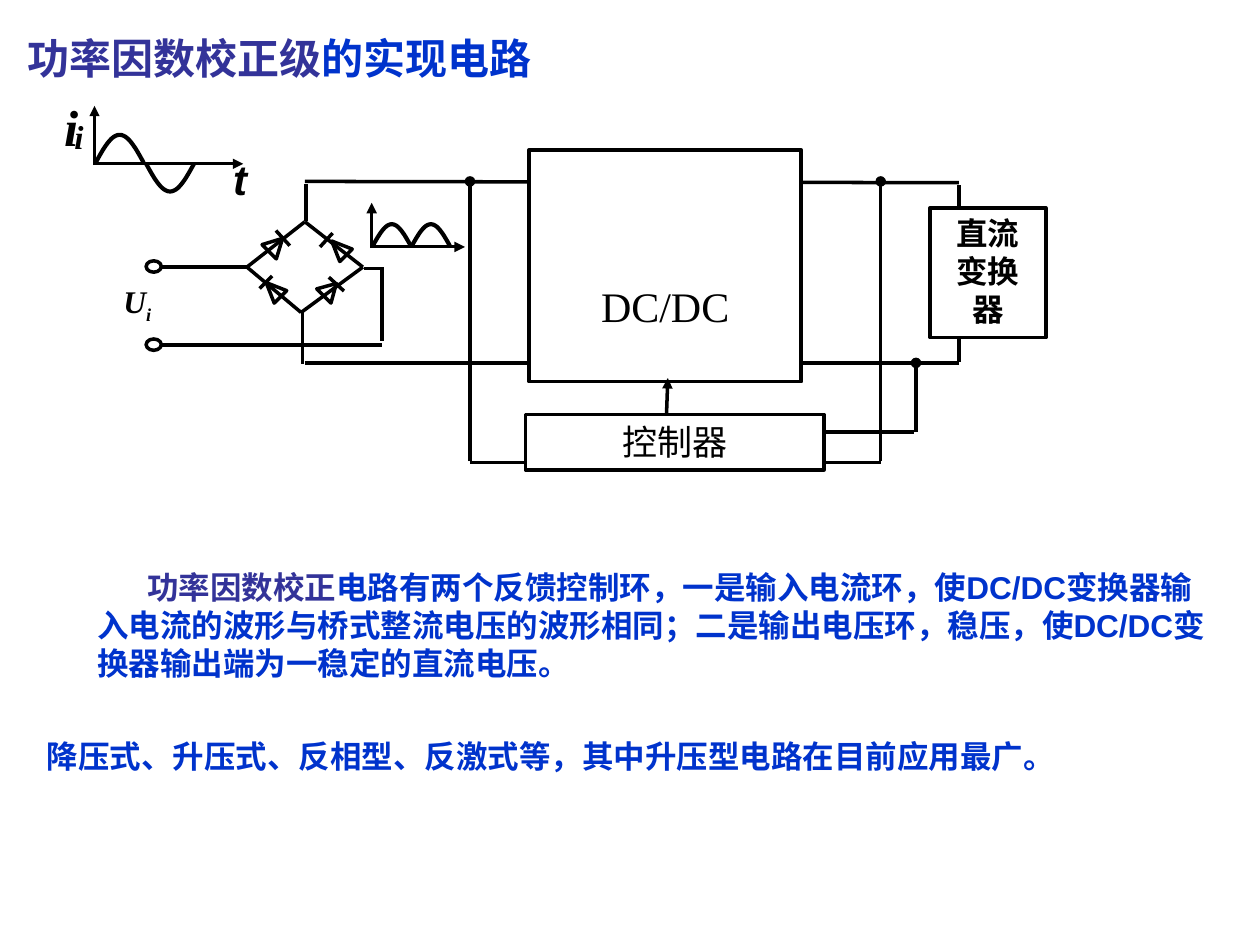
"""Build a slide on the circuit of a power factor correction stage."""
import math

import pptx
import pptx.dml.color
import pptx.enum.shapes
import pptx.enum.text
import pptx.util
import lxml.etree

Inches = pptx.util.Inches
Pt = pptx.util.Pt
kinds = pptx.enum.shapes.MSO_SHAPE
align = pptx.enum.text.PP_ALIGN
rgb = pptx.dml.color.RGBColor.from_string
space = "{http://schemas.openxmlformats.org/drawingml/2006/main}"
black, white, blue, navy = "000000", "FFFFFF", "0033CC", "333399"

deck = pptx.Presentation()
deck.slide_width, deck.slide_height = Inches(10), Inches(7.5)
slide = deck.slides.add_slide(deck.slide_layouts[3])
shapes = slide.shapes


def wire(start, end, width=2, tip=None):
    """Draw a black line, with an end mark if tip is given."""
    link = shapes.add_connector(
        pptx.enum.shapes.MSO_CONNECTOR.STRAIGHT,
        *[Inches(n) for n in (*start, *end)])
    link.line.width = Pt(width)
    link.line.fill.solid()
    link.line.fill.fore_color.rgb = rgb(black)
    if tip:
        mark = lxml.etree.SubElement(link.line._ln, space + "tailEnd")
        mark.set("type", tip)
    lxml.etree.SubElement(link._element.spPr, space + "effectLst")


def block(kind, spot, turn=0):
    """Add a white shape with a black outline."""
    shape = shapes.add_shape(kind, *[Inches(n) for n in spot])
    shape.shadow.inherit = False
    shape.rotation = turn
    shape.fill.solid()
    shape.fill.fore_color.rgb = rgb(white)
    shape.line.color.rgb = rgb(black)
    shape.line.width = Pt(2)
    return shape


texts = [
    (shapes.title, (0.12, 0.21, 5.59, 0.5), 24, 0,
     [("功率因数校正级", navy), ("的实现电路", blue)]),
    (slide.placeholders[1], (0.67, 4.46, 9.06, 1), 18, 0.4,
     [("功率因数校正", navy),
      ("电路有两个反馈控制环，一是输入电流环，使DC/DC变换器输入电流的波形与"
       "桥式整流电压的波形相同；二是输出电压环，稳压，使DC/DC变换器输出端为"
       "一稳定的直流电压。", blue)]),
    (slide.placeholders[2], (0.27, 5.8, 9.33, 0.4), 18, 0,
     [("降压式、升压式、反相型、反激式等，其中升压型电路在目前应用最广。", blue)]),
]
for holder, spot, size, indent, parts in texts:
    holder.left, holder.top, holder.width, holder.height = [
        Inches(n) for n in spot]
    frame = holder.text_frame
    frame.word_wrap = True
    frame.auto_size = pptx.enum.text.MSO_AUTO_SIZE.NONE
    frame.vertical_anchor = pptx.enum.text.MSO_ANCHOR.TOP
    para = frame.paragraphs[0]
    para.alignment = align.LEFT
    para.space_before = Pt(0)
    props = para._p.get_or_add_pPr()
    props.set("marL", "0")
    props.set("indent", str(Inches(indent)))
    lxml.etree.SubElement(props, space + "buNone")
    para.font.name, para.font.size, para.font.bold = "Arial", Pt(size), True
    for words, shade in parts:
        run = para.add_run()
        run.text = words
        run.font.color.rgb = rgb(shade)

wires = [
    ((1.2, 2.12), (1.96, 2.12)), ((2.89, 2.13), (3.04, 2.13)),
    ((3.03, 2.12), (3.03, 2.71)), ((3.03, 2.74), (1.21, 2.74)),
    ((2.43, 1.46), (2.43, 1.75)), ((2.4, 2.47), (2.4, 2.89)),
    ((2.42, 1.44), (7.61, 1.45)), ((2.42, 2.88), (7.61, 2.88)),
    ((7.61, 1.47), (7.61, 2.87)), ((3.73, 3.67), (6.99, 3.67)),
    ((6.5, 3.43), (7.25, 3.43)),
]
for start, end in wires:
    wire(start, end)
for start, end in [((7.27, 3.43), (7.27, 2.88)),
                   ((3.73, 3.66), (3.73, 1.44)),
                   ((6.99, 3.66), (6.99, 1.44))]:
    wire(start, end, tip="oval")

boxes = [
    ("DC/DC", (4.2, 1.19, 2.16, 1.84), 24, False, 1.04),
    ("控制器", (4.17, 3.29, 2.37, 0.44), 20, False, 0.05),
    ("直流变换器", (7.38, 1.65, 0.92, 1.03), 18, True, 0.05),
]
for words, spot, size, bold, inset in boxes:
    frame = block(kinds.RECTANGLE, spot).text_frame
    frame.word_wrap = True
    frame.vertical_anchor = pptx.enum.text.MSO_ANCHOR.TOP
    frame.margin_top = Inches(inset)
    para = frame.paragraphs[0]
    para.text = words
    para.alignment = align.CENTER
    para.font.name, para.font.size = "Times New Roman", Pt(size)
    para.font.bold = bold
    para.font.color.rgb = rgb(black)
wire((5.29, 3.29), (5.3, 3), tip="triangle")

for top in (2.07, 2.69):
    block(kinds.OVAL, (1.16, top, 0.12, 0.09))

diodes = [
    ((2.62, 1.89, 0.14, 0.16), 315, (2.64, 1.85), (2.54, 1.96)),
    ((2.54, 2.23, 0.16, 0.14), 45, (2.73, 2.31), (2.61, 2.2)),
    ((2.1, 2.22, 0.14, 0.16), 315, (2.16, 2.19), (2.06, 2.29)),
    ((2.11, 1.87, 0.16, 0.15), 45, (2.3, 1.95), (2.19, 1.83)),
]
for spot, turn, start, end in diodes:
    block(kinds.ISOSCELES_TRIANGLE, spot, turn)
    wire(start, end)
bridge = [(1.96, 2.12), (2.42, 1.76), (2.88, 2.12), (2.39, 2.48)]
for place, start in enumerate(bridge):
    wire(start, bridge[(place + 1) % 4])

for start, end in [((2.95, 1.96), (3.69, 1.96)), ((2.95, 1.97), (2.95, 1.61)),
                   ((0.75, 1.3), (1.93, 1.3)), ((0.75, 1.31), (0.75, 0.84))]:
    wire(start, end, 1.75, "triangle")

steps = 24
for left, base, width, rise in [(2.96, 1.95, 0.3, 0.17), (3.27, 1.95, 0.3, 0.17),
                                (0.76, 1.29, 0.38, 0.22),
                                (1.16, 1.3, 0.38, -0.22)]:
    dots = [(Inches(left + width * n / steps),
             Inches(base - rise * math.sin(math.pi * n / steps)))
            for n in range(steps + 1)]
    pen = shapes.build_freeform(*dots[0])
    pen.add_line_segments(dots[1:], close=False)
    wave = pen.convert_to_shape()
    wave.shadow.inherit = False
    wave.fill.background()
    wave.line.color.rgb = rgb(black)
    wave.line.width = Pt(2.38)

labels = [
    ("U", "i", (0.98, 2.24, 0.59, 0.34), 18, "Times New Roman", True),
    ("t", "", (1.85, 1.22, 0.16, 0.4), 24, "Arial", True),
    ("i", "", (0.51, 0.76, 0.11, 0.48), 29, "Times New Roman", False),
    ("i", "", (0.59, 0.92, 0.07, 0.32), 19, "Times New Roman", False),
]
for words, sub, spot, size, face, wrap in labels:
    frame = shapes.add_textbox(*[Inches(n) for n in spot]).text_frame
    frame.word_wrap = wrap
    frame.margin_left = frame.margin_right = 0
    frame.margin_top = frame.margin_bottom = 0
    para = frame.paragraphs[0]
    para.text = words
    para.font.name, para.font.size = face, Pt(size)
    para.font.bold = para.font.italic = True
    para.font.color.rgb = rgb(black)
    if sub:
        run = para.add_run()
        run.text = sub
        run._r.get_or_add_rPr().set("baseline", "-25000")

deck.save("out.pptx")
